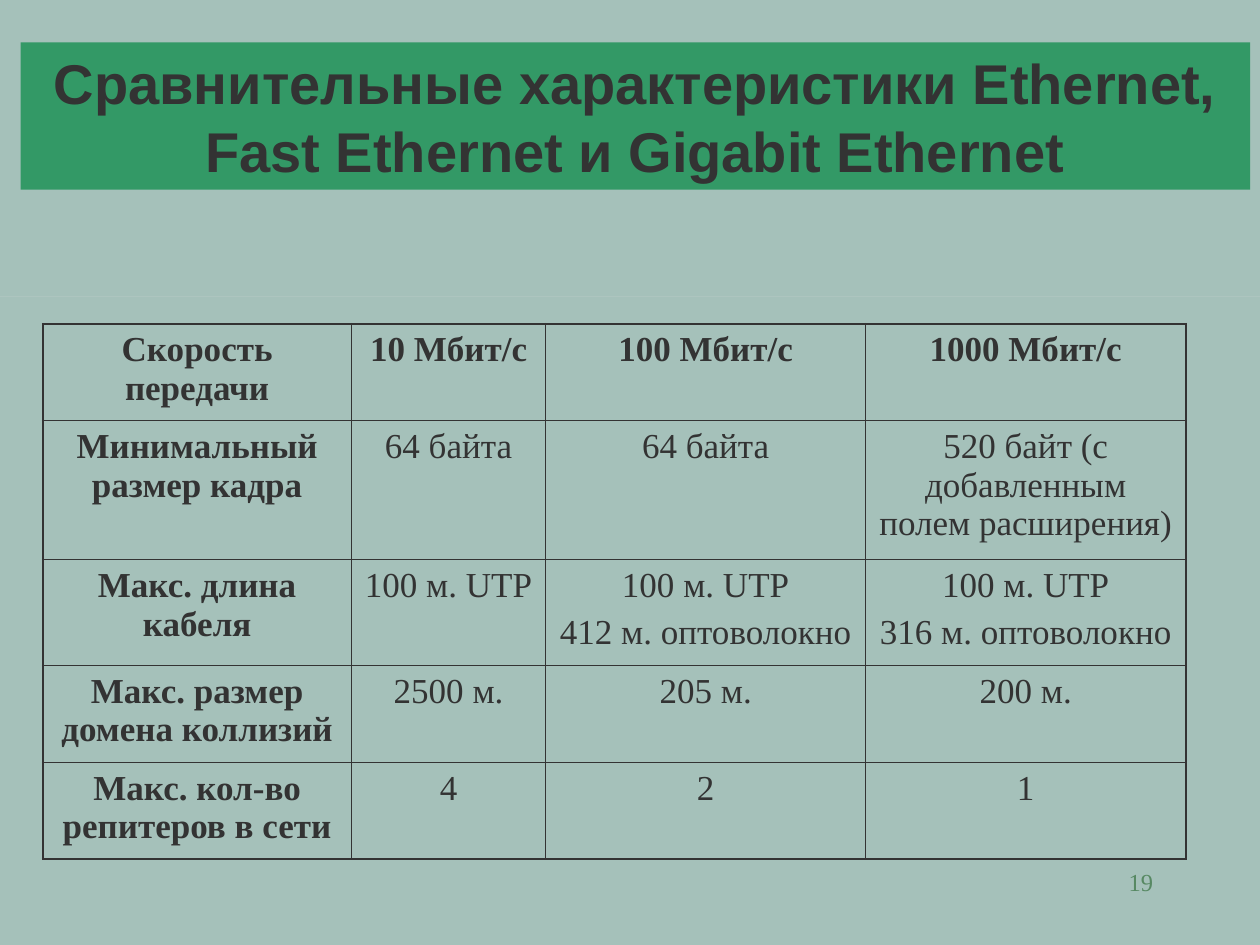
from dataclasses import dataclass

from lxml import etree
from pptx import Presentation
from pptx.dml.color import RGBColor
from pptx.enum.shapes import MSO_SHAPE
from pptx.enum.text import MSO_ANCHOR, PP_ALIGN
from pptx.oxml.ns import qn
from pptx.util import Pt

RECT = MSO_SHAPE.RECTANGLE
TOP = MSO_ANCHOR.TOP
CENTER, RIGHT = PP_ALIGN.CENTER, PP_ALIGN.RIGHT


@dataclass(frozen=True)
class Theme:
    background: str = "A5C1BA"
    rule: str = "E6E6E6"
    banner: str = "339966"
    ink: str = "333333"
    number: str = "578963"
    heading_font: str = "Arial"
    body_font: str = "Times New Roman"
    title_size: float = 32
    title_leading: float = 38.5
    table_size: float = 20
    number_size: float = 14
    paragraph_gap: float = 5
    outer_border: float = 1.08
    inner_border: float = 0.45


class Deck:
    def __init__(self, prs, theme):
        self.theme = theme
        self.s = prs.slides.add_slide(prs.slide_layouts[6])
        fill = self.s.background.fill
        fill.solid()
        fill.fore_color.rgb = RGBColor.from_string(theme.background)

    def rect(self, x, y, w, h, color):
        sp = self.s.shapes.add_shape(RECT, Pt(x), Pt(y), Pt(w), Pt(h))
        sp.shadow.inherit = False
        sp.fill.solid()
        sp.fill.fore_color.rgb = RGBColor.from_string(color)
        sp.line.fill.background()
        return sp

    def run(self, p, text, font, size, color, bold=False):
        r = p.add_run()
        r.text = text
        r.font.name = font
        r.font.size = Pt(size)
        r.font.bold = bold
        r.font.color.rgb = RGBColor.from_string(color)

    def title(self, x, y, w, h, text):
        t = self.theme
        tf = self.rect(x, y, w, h, t.banner).text_frame
        tf.word_wrap = True
        tf.vertical_anchor = TOP
        p = tf.paragraphs[0]
        p.alignment = CENTER
        p.line_spacing = Pt(t.title_leading)
        self.run(p, text, t.heading_font, t.title_size, t.ink, True)

    def page_number(self, x, y, w, h, text):
        t = self.theme
        tf = self.s.shapes.add_textbox(Pt(x), Pt(y), Pt(w), Pt(h)).text_frame
        tf.word_wrap = True
        p = tf.paragraphs[0]
        p.alignment = RIGHT
        self.run(p, text, t.body_font, t.number_size, t.number)

    def border(self, cell, side, width):
        ln = etree.SubElement(cell._tc.get_or_add_tcPr(), qn(f"a:{side}"), w=str(Pt(width)))
        fill = etree.SubElement(ln, qn("a:solidFill"))
        etree.SubElement(fill, qn("a:srgbClr"), val=self.theme.ink)

    def table(self, x, y, widths, heights, rows):
        t = self.theme
        frame = self.s.shapes.add_table(
            len(rows), len(widths), Pt(x), Pt(y), Pt(sum(widths)), Pt(sum(heights)))
        table = frame.table
        table.horz_banding = False
        for column, width in zip(table.columns, widths):
            column.width = Pt(width)
        for i, (height, row) in enumerate(zip(heights, rows)):
            table.rows[i].height = Pt(height)
            for j, text in enumerate(row):
                cell = table.cell(i, j)
                edges = {"lnL": j == 0, "lnR": j == len(widths) - 1,
                         "lnT": i == 0, "lnB": i == len(rows) - 1}
                for side, outer in edges.items():
                    self.border(cell, side, t.outer_border if outer else t.inner_border)
                cell.fill.background()
                self.cell_text(cell.text_frame, text, i == 0 or j == 0)

    def cell_text(self, tf, text, bold):
        t = self.theme
        for k, line in enumerate(text.split("\n")):
            p = tf.add_paragraph() if k else tf.paragraphs[0]
            p.alignment = CENTER
            if k:
                p.space_before = Pt(t.paragraph_gap)
            self.run(p, line, t.body_font, t.table_size, t.ink, bold)


def main():
    prs = Presentation()
    prs.slide_width, prs.slide_height = Pt(720), Pt(540)
    theme = Theme()
    deck = Deck(prs, theme)
    deck.rect(0, 169.2, 720, 0, theme.rule)
    deck.table(24.4, 185, [176.5, 110.9, 182.9, 182.9], [55.4, 79.4, 60.5, 55.4, 55.4], [
        ["Скорость передачи", "10 Мбит/с", "100 Мбит/с", "1000 Мбит/с"],
        ["Минимальный размер кадра", "64 байта", "64 байта",
         "520 байт (с добавленным полем расширения)"],
        ["Макс. длина кабеля", "100 м. UTP", "100 м. UTP\n412 м. оптоволокно",
         "100 м. UTP\n316 м. оптоволокно"],
        ["Макс. размер домена коллизий", "2500 м.", "205 м.", "200 м."],
        ["Макс. кол-во репитеров в сети", "4", "2", "1"],
    ])
    deck.title(11.8, 24.3, 702.6, 84.2,
               "Сравнительные характеристики Ethernet, Fast Ethernet и Gigabit Ethernet")
    deck.page_number(516, 492, 150, 36, "19")
    prs.save("out.pptx")


if __name__ == "__main__":
    main()
